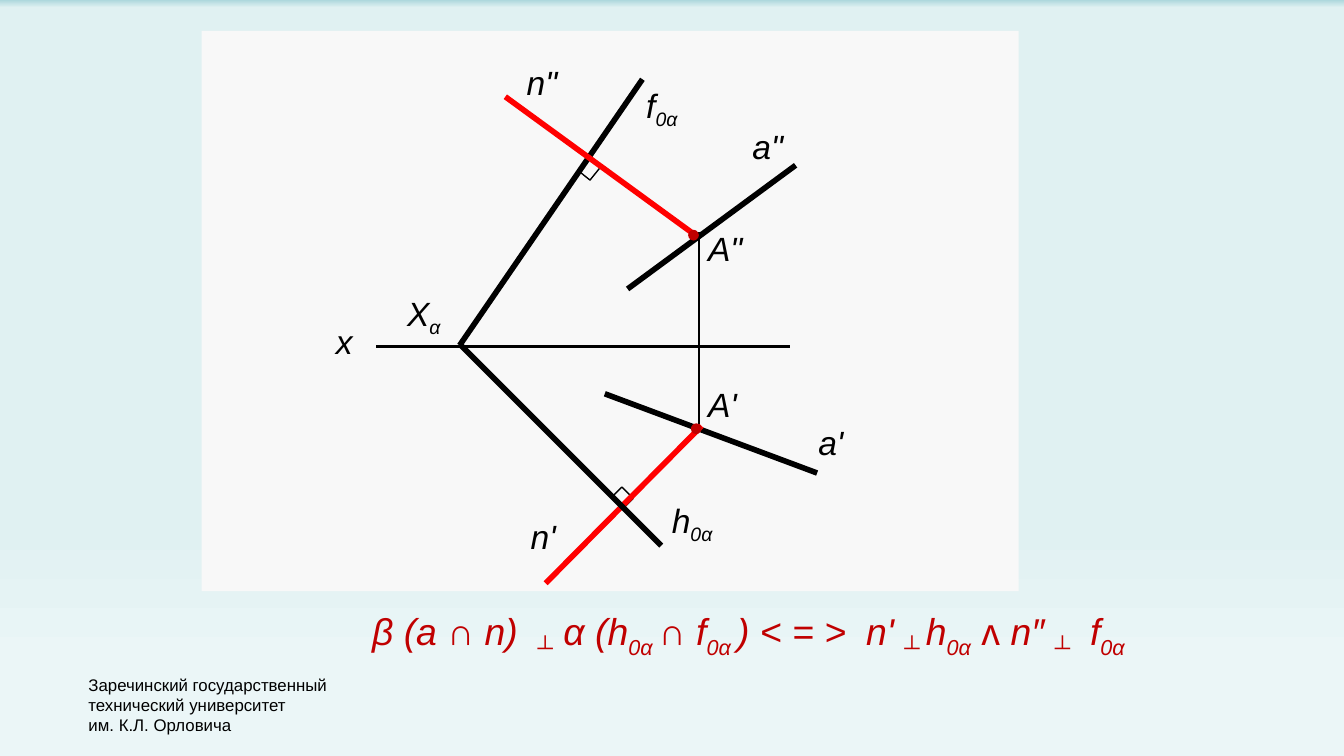
from lxml.etree import SubElement
from pptx import Presentation
from pptx.dml.color import RGBColor
from pptx.enum.shapes import MSO_CONNECTOR as Link, MSO_SHAPE as Preset
from pptx.enum.text import MSO_AUTO_SIZE as Fit
from pptx.oxml.ns import qn
from pptx.util import Pt

PX = 9144  # 100 px to the inch
COLORS = {
    "ink": "000000", "red": "FF0000", "dark red": "C00000", "panel": "F8F8F8",
    "teal": "ACD7DC", "mist": "E0F1F2", "pale": "EBF6F7",
}
BACKDROP = [(0, "teal"), (1, "mist"), (67, "mist"), (69, "mist"),
            (88, "pale"), (100, "pale")]


class Drawing:
    font = "Arial"
    thin, medium, thick = 0.75, 1.75, 3

    def __init__(self, page):
        self.page = page

    def color(self, name):
        return RGBColor.from_string(COLORS[name])

    def backdrop(self, stops):
        fill = self.page.background.fill
        fill.gradient()
        fill.gradient_angle = 270
        stop_list = self.page.element.find(".//" + qn("a:gsLst"))
        for old in list(stop_list):
            stop_list.remove(old)
        for percent, name in stops:
            stop = SubElement(stop_list, qn("a:gs"), pos=str(percent * 1000))
            SubElement(stop, qn("a:srgbClr"), val=COLORS[name])

    def shape(self, preset, left, top, width, height, fill=None, turn=0):
        """Add a filled shape without outline, or a thin outline without fill."""
        shape = self.page.shapes.add_shape(
            preset, left * PX, top * PX, width * PX, height * PX)
        shape.shadow.inherit = False
        shape.rotation = turn
        if fill:
            shape.fill.solid()
            shape.fill.fore_color.rgb = self.color(fill)
            shape.line.fill.background()
        else:
            shape.fill.background()
            shape.line.color.rgb = self.color("ink")
            shape.line.width = Pt(self.thin)

    def line(self, start, end, weight, color="ink"):
        ends = [n * PX for n in (*start, *end)]
        line = self.page.shapes.add_connector(Link.STRAIGHT, *ends)
        line.line.color.rgb = self.color(color)
        line.line.width = Pt(weight)
        SubElement(line.element.spPr, qn("a:effectLst"))

    def text(self, left, top, width, height, lines, size, color="ink", wrap=True):
        """Each line is a list of (text, style); style is italic, upright, sub or gap."""
        box = self.page.shapes.add_textbox(
            left * PX, top * PX, width * PX, height * PX)
        frame = box.text_frame
        frame.word_wrap = wrap
        frame.auto_size = Fit.SHAPE_TO_FIT_TEXT
        for number, runs in enumerate(lines):
            para = frame.add_paragraph() if number else frame.paragraphs[0]
            for words, style in runs:
                span = para.add_run()
                span.text = words
                span.font.name = self.font
                span.font.size = Pt(size)
                span.font.italic = style != "upright"
                span.font.color.rgb = self.color(color)
                if style == "sub":
                    span.font._element.set("baseline", "-25000")
                elif style == "gap":
                    span.font._element.set("spc", "500")

    def label(self, left, top, width, name, index=""):
        runs = [(name, "italic")]
        if index:
            runs.append((index, "sub"))
        self.text(left, top, width, 40, [runs], 18)


FORMULA = [
    ("β (а ", "italic"), ("∩", "upright"), (" n)", "italic"), (" ", "gap"),
    ("┴", "sub"), (" α (h", "italic"), ("0α ", "sub"), ("∩", "upright"),
    (" f", "italic"), ("0α ", "sub"), (") < = >", "italic"), (" ", "gap"),
    ("n' ", "italic"), ("┴ ", "sub"), ("h", "italic"), ("0α", "sub"),
    (" ", "italic"), ("ᴧ", "upright"), (" n″ ", "italic"), ("┴", "sub"),
    (" ", "gap"), ("f", "italic"), ("0α", "sub"),
]
UNIVERSITY = ["Заречинский государственный", "технический университет",
              "им. К.Л. Орловича"]
TRACES = [((478, 59), (342, 257)), ((467, 215), (592, 123)),
          ((450, 293), (608, 352))]
NORMALS = [((516, 174), (376, 72)), ((522, 317), (406, 434))]
LABELS = [
    (490, 367, 95, "h", "0α"), (471, 58, 65, "f", "0α"), (293, 213, 62, "X", "α"),
    (385, 379, 53, "n'"), (517, 281, 50, "A'"), (599, 309, 71, "а'"),
    (550, 89, 61, 'а"'), (517, 165, 48, 'A"'), (382, 41, 46, 'n"'),
    (240, 234, 31, "x"),
]


def main():
    deck = Presentation()
    deck.slide_width = 1000 * PX
    deck.slide_height = deck.slide_width * 9 // 16
    drawing = Drawing(deck.slides.add_slide(deck.slide_layouts[6]))
    drawing.backdrop(BACKDROP)
    drawing.text(56, 497, 198, 55, [[(line, "upright")] for line in UNIVERSITY],
                 9, wrap=False)
    drawing.shape(Preset.RECTANGLE, 150, 23, 608, 417, "panel")

    drawing.line((520, 173), (520, 319), drawing.thin)
    drawing.shape(Preset.RECTANGLE, 457, 365, 12, 11, turn=45)
    drawing.shape(Preset.RECTANGLE, 433, 120, 11, 12, turn=39)
    drawing.text(267, 448, 654, 44, [FORMULA], 20, "dark red")

    drawing.line((280, 258), (588, 258), drawing.medium)
    for start, end in TRACES:
        drawing.line(start, end, drawing.thick)
    for start, end in NORMALS:
        drawing.line(start, end, drawing.thick, "red")
    drawing.line((492, 406), (342, 256), drawing.thick)
    for left, top in [(512, 171), (514, 315)]:
        drawing.shape(Preset.OVAL, left, top, 8, 8, "dark red")

    for label in LABELS:
        drawing.label(*label)
    deck.save("out.pptx")


if __name__ == "__main__":
    main()
